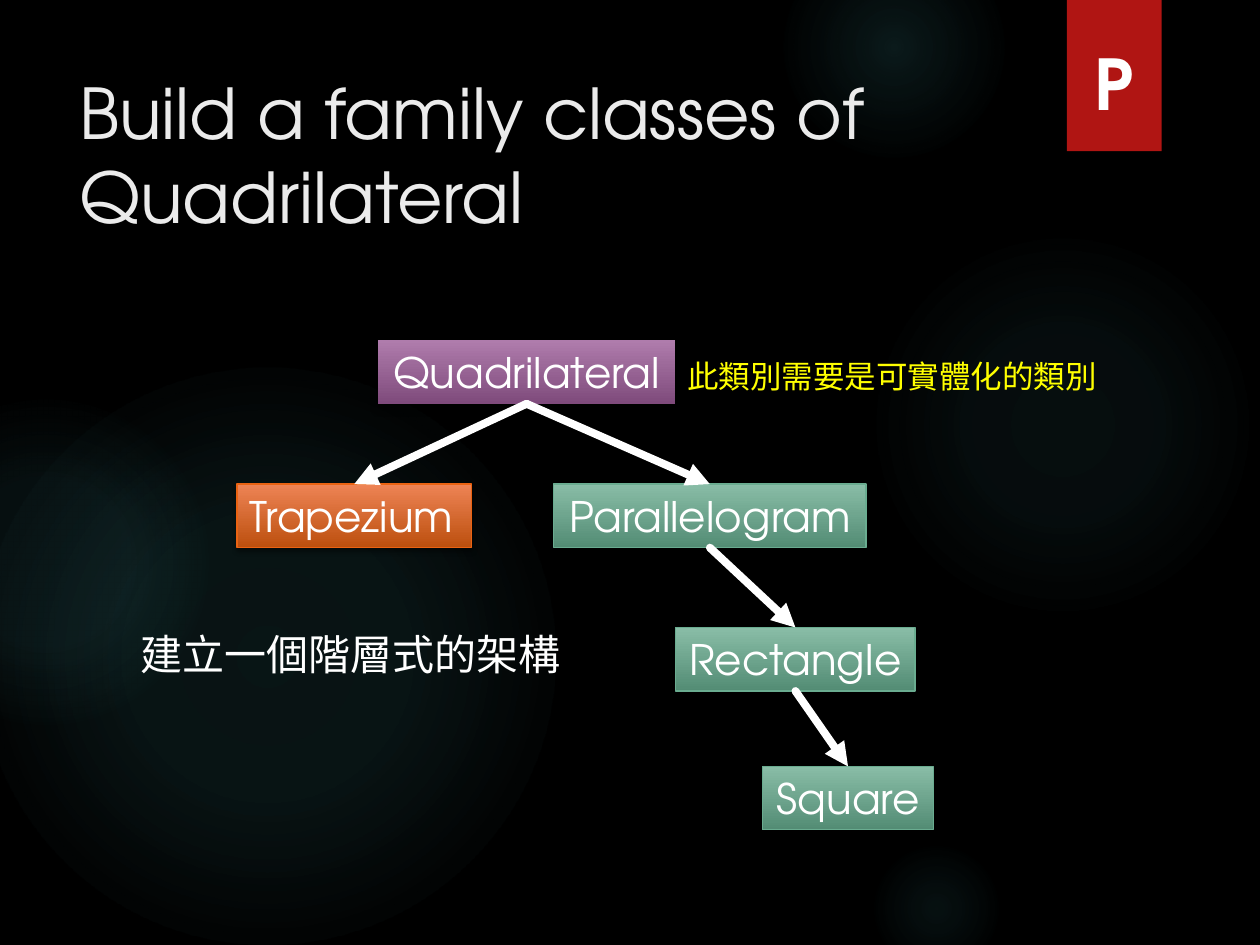
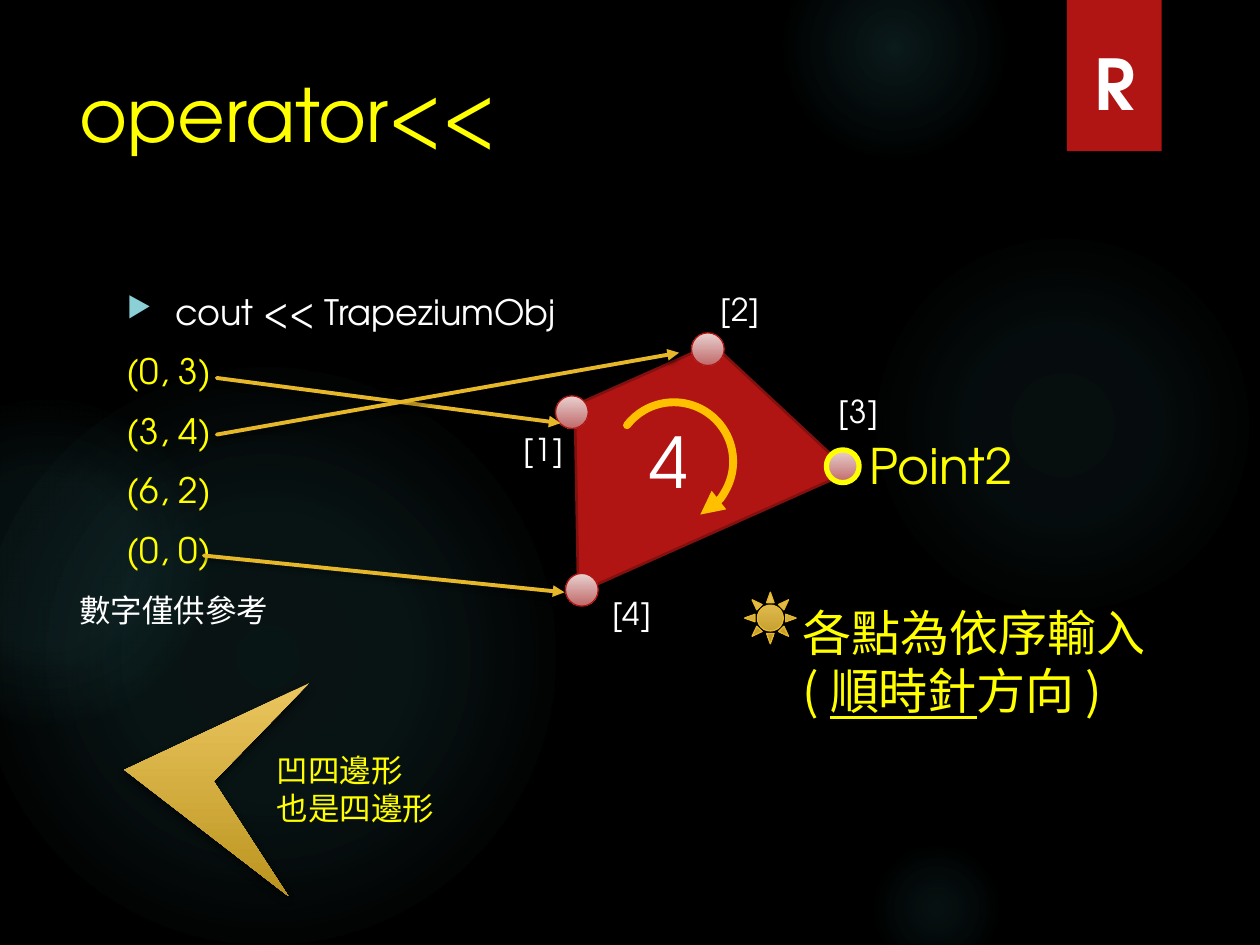
import pptx
import pptx.dml.color
import pptx.enum.shapes
import pptx.enum.text
import pptx.oxml
import pptx.oxml.ns
import pptx.util
from lxml import etree

Cm, Pt = pptx.util.Cm, pptx.util.Pt
qn = pptx.oxml.ns.qn
SHAPE = pptx.enum.shapes.MSO_SHAPE
ALIGN = pptx.enum.text.PP_ALIGN

LATIN, CJK = "TeX Gyre Adventor", "Noto Sans CJK SC"
WHITE, YELLOW, RED, GOLD = "FFFFFF", "FFFF00", "B01513", "E6B729"
GREEN_NODE = ("89BDA7", "538C74", "6AAC90")
ORANGE_NODE = ("EE8455", "BC4F0E", "EA6312")
PURPLE_NODE = ("AF7CAC", "7F4B7C", None)
GOLD_FILL = ("EBC65F", "BB941F")
# Opacity %, blur pt, distance pt
SOFT_SHADOW, DEEP_SHADOW = (45, 3, 2), (60, 5, 3)

# Areas as left, top, width, height in cm
TITLE_BOX = (1.35, 1.27, 19.61, 3.89)
BADGE_BOX = (21.51, 0, 1.91, 3.05)
TREE_BOX = (4.78, 6.86, 14.04, 9.86)
OUTPUT_BOX = (2.31, 5.72, 18.64, 11.66)
FIGURE_BOX = (10.31, 5.72, 10.41, 7.13)
NOTE_BOX = (15.01, 11.94, 8.41, 2.64)
CONCAVE_BOX = (2.51, 13.77, 6.53, 4.29)


def rgb(value):
    return pptx.dml.color.RGBColor.from_string(value)


def inside(area, left, top, width, height):
    return area[0] + left, area[1] + top, width, height


def child(parent, tag, **values):
    node = etree.SubElement(parent, qn(tag))
    for name, value in values.items():
        node.set(name, str(value))
    return node


def tint(parent, color, opacity):
    child(child(parent, "a:srgbClr", val=color), "a:alpha", val=opacity * 1000)


def paint_shadow(part, shadow):
    """Give a part its own effect list, empty when there is no shadow."""
    properties = part._element.spPr
    effects = properties.find(qn("a:effectLst"))
    if effects is None:
        effects = child(properties, "a:effectLst")
    if shadow:
        opacity, blur, distance = shadow
        outer = child(effects, "a:outerShdw", blurRad=Pt(blur), dist=Pt(distance),
                      dir=5400000, algn="ctr", rotWithShape=0)
        tint(outer, "000000", opacity)


def paint(shape, fill=None, line=None, width=0.75, shadow=None):
    """Fill is None, one colour, or a top and a bottom colour."""
    if fill is None:
        shape.fill.background()
    elif isinstance(fill, str):
        shape.fill.solid()
        shape.fill.fore_color.rgb = rgb(fill)
    else:
        shape.fill.gradient()
        shape.fill.gradient_angle = 270
        for stop, color in zip(shape.fill.gradient_stops, fill):
            stop.color.rgb = rgb(color)
    if line:
        shape.line.color.rgb = rgb(line)
        shape.line.width = Pt(width)
    else:
        shape.line.fill.background()
    shape.shadow.inherit = False
    paint_shadow(shape, shadow)


def add_shape(slide, kind, box, **look):
    shape = slide.shapes.add_shape(kind, *(Cm(length) for length in box))
    paint(shape, **look)
    return shape


def arrow_end(part):
    line = part._element.spPr.find(qn("a:ln"))
    line.set("cap", "rnd")
    child(line, "a:tailEnd", type="triangle")


def add_arrow(slide, color, width, start=(0, 0), end=(0, 0), shadow=None):
    arrow = slide.shapes.add_connector(
        pptx.enum.shapes.MSO_CONNECTOR.STRAIGHT, *(Cm(length) for length in start + end))
    arrow.line.color.rgb = rgb(color)
    arrow.line.width = Pt(width)
    arrow_end(arrow)
    paint_shadow(arrow, shadow)
    return arrow


def style_run(run, color, font, **format_values):
    run.font.color.rgb = rgb(color)
    run.font.name = font
    for name, value in format_values.items():
        setattr(run.font, name, value)
    child(run._r.get_or_add_rPr(), "a:ea", typeface=font)


def write(holder, paragraphs, size, color=WHITE, font=LATIN, bold=False,
          align=ALIGN.LEFT, wrap=False, space=0):
    """Each paragraph is a string or a list of (text, format values)."""
    frame = holder.text_frame
    frame.word_wrap = wrap
    auto = pptx.enum.text.MSO_AUTO_SIZE
    frame_values = {
        "auto_size": auto.NONE if wrap else auto.SHAPE_TO_FIT_TEXT,
        "vertical_anchor": pptx.enum.text.MSO_ANCHOR.TOP,
        "margin_left": Cm(0.25), "margin_right": Cm(0.25),
        "margin_top": Cm(0.2 if font == CJK else 0.13), "margin_bottom": Cm(0.13),
    }
    for name, value in frame_values.items():
        setattr(frame, name, value)
    for number, content in enumerate(paragraphs):
        paragraph = frame.add_paragraph() if number else frame.paragraphs[0]
        paragraph.alignment = align
        if number and space:
            paragraph.space_before = Pt(space)
        if font == CJK:
            paragraph.line_spacing = Pt(size * 1.2)
        pieces = [(content, {})] if isinstance(content, str) else content
        for text, changes in pieces:
            for row, row_text in enumerate(text.split("\n")):
                if row:
                    paragraph.add_line_break()
                run = paragraph.add_run()
                run.text = row_text
                style_run(run, **{"color": color, "font": font, "size": Pt(size),
                                  "bold": bold, **changes})
    return frame


def add_text(slide, box, paragraphs, size, **look):
    holder = slide.shapes.add_textbox(*(Cm(length) for length in box))
    return write(holder, paragraphs, size, **look)


# Shared parts
def add_glow(slide, left, top, size, stops):
    """A round light that fades from its centre."""
    glow = add_shape(slide, SHAPE.OVAL, (left, top, size, size))
    gradient = etree.Element(qn("a:gradFill"), rotWithShape="1")
    stop_list = child(gradient, "a:gsLst")
    for position, opacity in stops:
        tint(child(stop_list, "a:gs", pos=position * 1000), "50B9C1", opacity)
    circle = child(gradient, "a:path", path="circle")
    child(circle, "a:fillToRect", l=50000, t=50000, r=50000, b=50000)
    properties = glow._element.spPr
    properties.replace(properties.find(qn("a:noFill")), gradient)


def add_base(deck, title, title_size, title_color, letter):
    slide = deck.slides.add_slide(deck.slide_layouts[6])
    slide.background.fill.solid()
    slide.background.fill.fore_color.rgb = rgb("000000")
    for left, top, size, center, middle, edge in (
            (17.5, 4.65, 7.82, 7, 6, 69), (15.8, -1.27, 4.45, 14, 7, 73),
            (17.5, 16.94, 2.74, 9, 5, 66), (-0.43, 7.42, 11.63, 11, 10, 75),
            (-2.34, 8.05, 6.55, 8, 8, 72)):
        add_glow(slide, left, top, size, ((0, center), (36, middle), (edge, 0)))
    add_shape(slide, SHAPE.RECTANGLE, BADGE_BOX, fill=RED, shadow=SOFT_SHADOW)
    add_text(slide, inside(BADGE_BOX, 0.3, 0.69, 1.35, 1.96), [letter], 40, bold=True)
    add_text(slide, TITLE_BOX, [title], title_size, color=title_color, wrap=True)
    return slide


# Class hierarchy
def add_class_tree(slide, area):
    nodes = {}
    for name, left, top, width, (upper, lower, edge) in (
            ("Quadrilateral", 2.84, 0, 5.99, PURPLE_NODE),
            ("Trapezium", 0, 2.9, 4.72, ORANGE_NODE),
            ("Parallelogram", 6.38, 2.9, 6.3, GREEN_NODE),
            ("Rectangle", 8.84, 5.79, 4.83, GREEN_NODE),
            ("Square", 10.59, 8.59, 3.45, GREEN_NODE)):
        node = add_shape(slide, SHAPE.RECTANGLE, inside(area, left, top, width, 1.28),
                         fill=(upper, lower), line=edge,
                         shadow=SOFT_SHADOW if edge else DEEP_SHADOW)
        write(node, [name], 24,
              align=ALIGN.LEFT if name == "Trapezium" else ALIGN.CENTER)
        nodes[name] = node
    for parent, heir in (("Quadrilateral", "Trapezium"), ("Quadrilateral", "Parallelogram"),
                         ("Parallelogram", "Rectangle"), ("Rectangle", "Square")):
        arrow = add_arrow(slide, WHITE, 4.5)
        arrow.begin_connect(nodes[parent], 2)
        arrow.end_connect(nodes[heir], 0)
    add_text(slide, inside(area, -2.19, 5.61, 9.07, 1.27), ["建立一個階層式的架構"], 24,
             font=CJK)
    add_text(slide, inside(area, 8.83, 0.13, 8.84, 1.02), ["此類別需要是可實體化的類別"], 18,
             color=YELLOW, font=CJK)


# Printed coordinates
def add_output(slide, area):
    points = [[(point, {"color": YELLOW})]
              for point in ("(0, 3)", "(3, 4)", "(6, 2)", "(0, 0)")]
    frame = add_text(slide, area, ["cout << TrapeziumObj", *points], 20,
                     wrap=True, space=10)
    bullet = frame.paragraphs[0]._p.get_or_add_pPr()
    bullet.set("marL", str(Cm(0.97)))
    bullet.set("indent", str(-Cm(0.97)))
    child(child(bullet, "a:buClr"), "a:srgbClr", val="8AD0D6")
    child(bullet, "a:buSzPct", val=80000)
    child(bullet, "a:buChar", char="▶")
    add_text(slide, inside(area, -0.96, 5.99, 4.37, 1.02), ["數字僅供參考"], 18, font=CJK)


# Numbered trapezium
def add_trapezium(slide, area):
    body = add_shape(slide, SHAPE.TRAPEZOID, inside(area, 0.38, 1.68, 5.99, 3.48),
                     fill=RED, line="82100E", width=1.5)
    body.adjustments[0] = 0.424
    body.rotation = 336
    corners = (((0.89, 2.26), (0, 2.82)), ((3.63, 0.99), (3.96, 0)),
               ((6.35, 3.35), (6.35, 2.06)), ((1.09, 5.84), (1.78, 6.12)))
    for number, (dot, label) in enumerate(corners, 1):
        chosen = number == 3
        add_shape(slide, SHAPE.OVAL, inside(area, *dot, 0.66, 0.66),
                  fill=("E8D1D0", "C06969"), line=YELLOW if chosen else RED,
                  width=3 if chosen else 0.75)
        add_text(slide, inside(area, *label, 1.5, 1.02), [f"[{number}]"], 18)
    add_text(slide, inside(area, 2.54, 2.59, 1.3, 1.96), ["4"], 40)
    add_text(slide, inside(area, 6.96, 2.92, 3.45, 1.45), ["Point2"], 28, color=YELLOW)
    turn = add_shape(slide, SHAPE.ARC, inside(area, 2.08, 2.39, 2.39, 2.39),
                     line="FFC000", width=4.5)
    turn.adjustments[0], turn.adjustments[1] = 130.65, 38.113
    arrow_end(turn)
    # From each printed point to its corner
    for start, end in (((-5.94, 1.9), (0.99, 2.81)), ((-5.94, 3.04), (3.38, 1.39)),
                       ((-6.2, 5.48), (1.07, 6.22))):
        add_arrow(slide, GOLD, 2.25, inside(area, *start, 0, 0)[:2],
                  inside(area, *end, 0, 0)[:2], SOFT_SHADOW)


# Input order
def add_order_note(slide, area):
    add_shape(slide, SHAPE.SUN, inside(area, 0, 0, 1.04, 1.04), fill=GOLD_FILL,
              line=GOLD, shadow=SOFT_SHADOW)
    direction = [("( ", {}), ("順時針", {"underline": True}), ("方向 )", {})]
    add_text(slide, inside(area, 0.92, 0, 7.49, 2.64), ["各點為依序輸入", direction], 28,
             color=YELLOW, font=CJK)


# Concave quadrilateral
def add_concave(slide, area):
    start, *others = [tuple(Cm(length) for length in inside(area, x, y, 0, 0)[:2])
                      for x, y in ((0, 1.75), (3.73, 0), (1.8, 1.98), (3.3, 4.29))]
    outline = slide.shapes.build_freeform(*start)
    outline.add_line_segments(others, close=True)
    paint(outline.convert_to_shape(), fill=GOLD_FILL, shadow=DEEP_SHADOW)
    add_text(slide, inside(area, 2.82, 1.17, 3.71, 1.8), ["凹四邊形\n也是四邊形"], 18,
             color=YELLOW, font=CJK)


def main():
    deck = pptx.Presentation()
    deck.slide_width, deck.slide_height = Cm(25.4), Cm(19.05)

    family = add_base(deck, "Build a family classes of Quadrilateral", 40, "EBEBEB", "P")
    add_class_tree(family, TREE_BOX)

    operator = add_base(deck, "operator<<", 42, YELLOW, "R")
    add_output(operator, OUTPUT_BOX)
    add_trapezium(operator, FIGURE_BOX)
    add_order_note(operator, NOTE_BOX)
    add_concave(operator, CONCAVE_BOX)

    deck.save("out.pptx")


if __name__ == "__main__":
    main()
